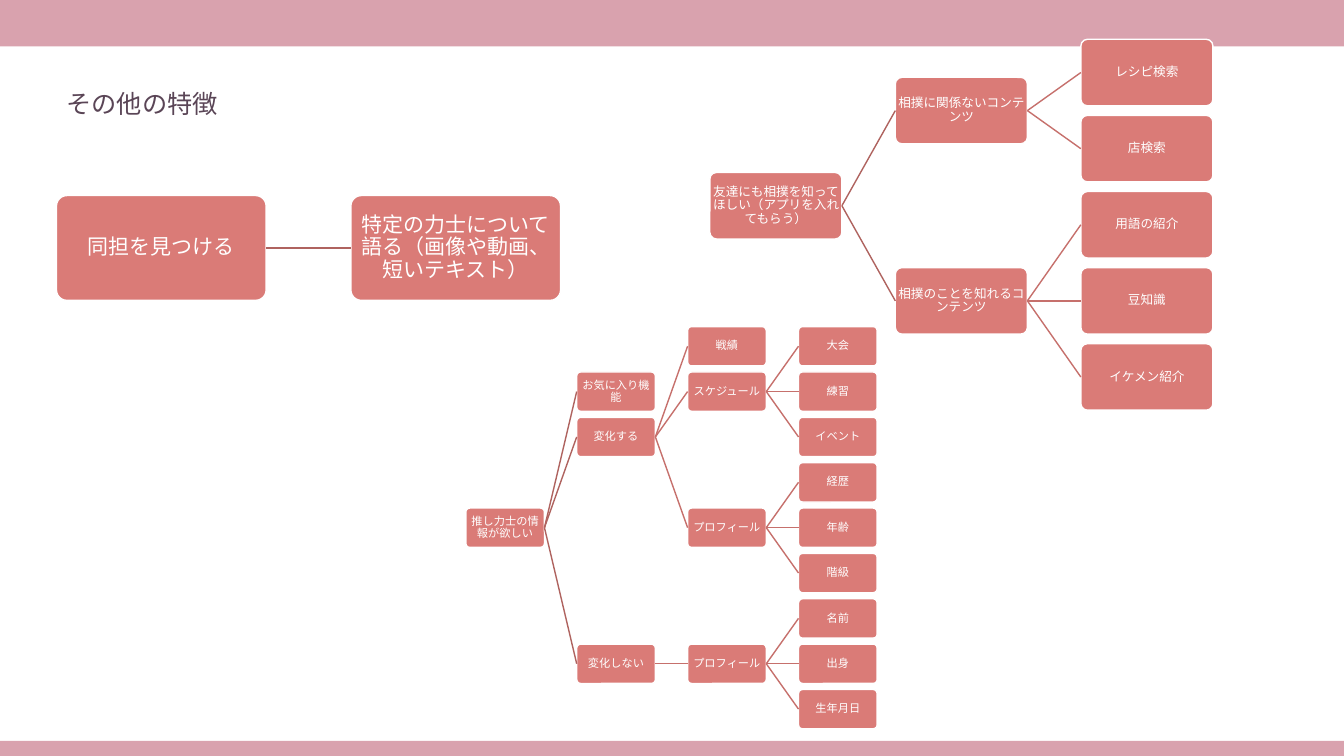
import pptx
import pptx.util
import pptx.dml.color
import pptx.enum.shapes
import pptx.enum.text
import pptx.oxml.ns
import lxml.etree

PX = 9144
SLIDE_W, SLIDE_H = 1333, 750
FONT = "Noto Sans CJK JP"
SHAPES = pptx.enum.shapes.MSO_SHAPE

FRIENDS_TREE = {
    "友達にも相撲を知ってほしい（アプリを入れてもらう）": {
        "相撲に関係ないコンテンツ": {"レシピ検索": 0, "店検索": 1},
        "相撲のことを知れるコンテンツ": {"用語の紹介": 2, "豆知識": 3, "イケメン紹介": 4},
    }
}
FANS_TREE = {"同担を見つける": {"特定の力士について語る（画像や動画、短いテキスト）": 0}}
WRESTLER_TREE = {
    "推し力士の情報が欲しい": {
        "お気に入り機能": 1,
        "変化する": {
            "戦績": 0,
            "スケジュール": {"大会": 0, "練習": 1, "イベント": 2},
            "プロフィール": {"経歴": 3, "年齢": 4, "階級": 5},
        },
        "変化しない": {"プロフィール": {"名前": 6, "出身": 7, "生年月日": 8}},
    }
}


def px(*lengths):
    return [pptx.util.Emu(round(length * PX)) for length in lengths]


def color(hex_string):
    return pptx.dml.color.RGBColor.from_string(hex_string)


def write(frame, text, size, ink, align):
    frame.margin_left = frame.margin_right = frame.margin_top = frame.margin_bottom = 0
    frame.vertical_anchor = pptx.enum.text.MSO_ANCHOR.MIDDLE
    paragraph = frame.paragraphs[0]
    paragraph.alignment = align
    run = paragraph.add_run()
    run.text = text
    run.font.size = pptx.util.Pt(size)
    run.font.name = FONT
    run.font.color.rgb = color(ink)
    east_asian = lxml.etree.SubElement(run.font._element, pptx.oxml.ns.qn("a:ea"))
    east_asian.set("typeface", FONT)
    return paragraph


def add_band(slide, box):
    band = slide.shapes.add_shape(SHAPES.RECTANGLE, *px(*box))
    band.shadow.inherit = False
    band.fill.solid()
    band.fill.fore_color.rgb = color("D9A2AE")
    band.line.fill.background()


def add_title(slide, box):
    title = slide.shapes.title
    title.left, title.top, title.width, title.height = px(*box)
    frame = title.text_frame
    write(frame, "その他の特徴", 18, "5A4556", pptx.enum.text.PP_ALIGN.LEFT)
    frame.word_wrap = False
    frame.auto_size = pptx.enum.text.MSO_AUTO_SIZE.SHAPE_TO_FIT_TEXT
    frame.margin_left, frame.margin_right, frame.margin_top, frame.margin_bottom = px(10, 10, 5, 5)


def add_node(slide, box, text, size):
    node = slide.shapes.add_shape(SHAPES.ROUNDED_RECTANGLE, *px(*box))
    node.adjustments[0] = 0.1
    node.shadow.inherit = False
    node.fill.solid()
    node.fill.fore_color.rgb = color("DA7B77")
    node.line.color.rgb = color("FFFFFF")
    node.line.width = pptx.util.Pt(1)
    node.text_frame.word_wrap = True
    paragraph = write(node.text_frame, text, size, "FFFFFF", pptx.enum.text.PP_ALIGN.CENTER)
    paragraph.line_spacing = 0.9
    return node


def add_branch_line(slide, parent, child, ink):
    kind = pptx.enum.shapes.MSO_CONNECTOR.STRAIGHT
    branch = slide.shapes.add_connector(kind, 0, 0, 0, 0)
    branch.begin_connect(parent, 3)
    branch.end_connect(child, 1)
    branch.line.color.rgb = color(ink)
    branch.line.width = pptx.util.Pt(1)
    lxml.etree.SubElement(branch._element.spPr, pptx.oxml.ns.qn("a:effectLst"))


def add_tree(slide, box, tree, levels, rows, node_size, size):
    left, top, width, height = box
    node_w, node_h = node_size
    column_step = (width - node_w) / (levels - 1)
    row_step = (height - node_h) / max(rows - 1, 1)

    def grow(text, content, level):
        children = []
        row = content
        if isinstance(content, dict):
            children = [grow(name, inner, level + 1) for name, inner in content.items()]
            row = (children[0][1] + children[-1][1]) / 2
        place = (left + level * column_step, top + row * row_step, node_w, node_h)
        node = add_node(slide, place, text, size)
        for child, _ in children:
            add_branch_line(slide, node, child, "C6706C" if level else "AF635F")
        return node, row

    for root, content in tree.items():
        grow(root, content, 0)


def main():
    deck = pptx.Presentation()
    deck.slide_width, deck.slide_height = px(SLIDE_W, SLIDE_H)
    slide = deck.slides.add_slide(deck.slide_layouts[5])
    add_band(slide, (0, SLIDE_H - 15, SLIDE_W, 15))
    add_band(slide, (0, 0, SLIDE_W, 46))
    add_title(slide, (56, 83, 172, 40))
    add_tree(slide, (56, 194, 500, 104), FANS_TREE, 2, 1, (208, 104), 15)
    add_tree(slide, (704, 39, 499, 368), FRIENDS_TREE, 3, 5, (131, 66), 9)
    add_tree(slide, (462, 324, 408, 399), WRESTLER_TREE, 4, 9, (78, 39), 8)
    deck.save("out.pptx")


if __name__ == "__main__":
    main()
